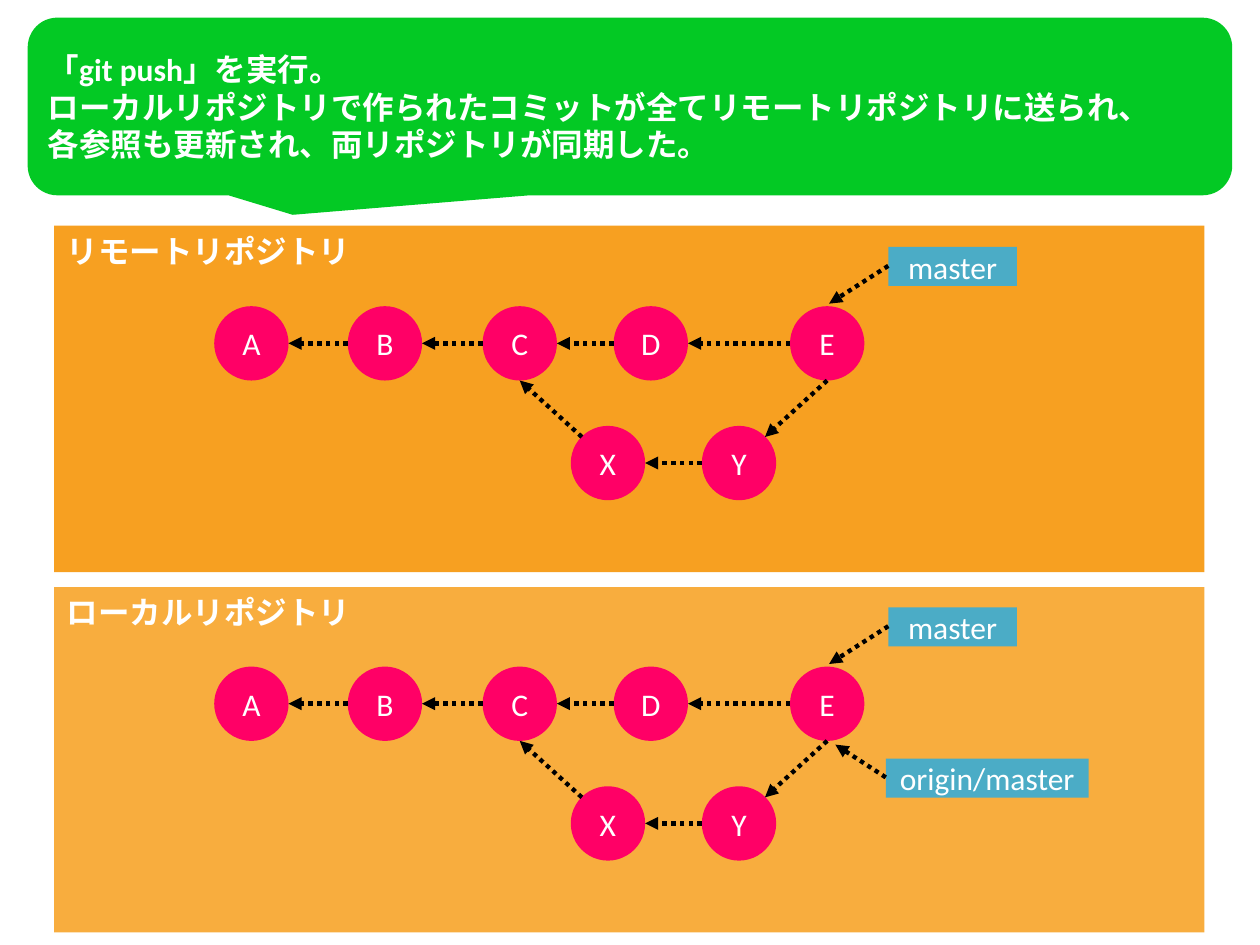
"""Build a slide showing both repositories in sync after a git push."""
from lxml import etree
from pptx import Presentation
from pptx.dml.color import RGBColor
from pptx.enum.dml import MSO_LINE
from pptx.enum.shapes import MSO_CONNECTOR, MSO_SHAPE
from pptx.enum.text import MSO_ANCHOR, PP_ALIGN
from pptx.oxml.ns import qn
from pptx.util import Inches, Pt

RECT, OVAL = MSO_SHAPE.RECTANGLE, MSO_SHAPE.OVAL
CALLOUT = MSO_SHAPE.ROUNDED_RECTANGULAR_CALLOUT
STRAIGHT, DOTTED = MSO_CONNECTOR.STRAIGHT, MSO_LINE.ROUND_DOT
LEFT, CENTER = PP_ALIGN.LEFT, PP_ALIGN.CENTER
TOP, MIDDLE = MSO_ANCHOR.TOP, MSO_ANCHOR.MIDDLE
LATIN, JAPANESE = "Calibri", "Noto Sans CJK JP"
rgb = RGBColor.from_string

prs = Presentation()
prs.slide_width, prs.slide_height = Inches(10), Inches(7.5)
s = prs.slides.add_slide(prs.slide_layouts[6])


def add_box(kind, box, fill, lines, align=CENTER, anchor=MIDDLE, font=LATIN, bold=False):
    """Add a filled shape with white text and return it."""
    sp = s.shapes.add_shape(kind, *map(Inches, box))
    sp.shadow.inherit = False
    sp.fill.solid()
    sp.fill.fore_color.rgb = rgb(fill)
    sp.line.fill.background()
    tf = sp.text_frame
    tf.word_wrap = True
    tf.vertical_anchor = anchor
    for i, line in enumerate(lines):
        p = tf.add_paragraph() if i else tf.paragraphs[0]
        p.alignment = align
        r = p.add_run()
        r.text = line
        for name, value in {"name": font, "size": Pt(18), "bold": bold}.items():
            setattr(r.font, name, value)
        r.font.color.rgb = rgb("FFFFFF")
        etree.SubElement(r.font._element, qn("a:ea"), typeface=JAPANESE)
    return sp


def add_arrow(x1, y1, x2, y2):
    """Add a dotted black arrow pointing at the second point."""
    cxn = s.shapes.add_connector(STRAIGHT, *map(Inches, (x1, y1, x2, y2)))
    cxn.line.color.rgb = rgb("000000")
    cxn.line.width = Pt(2.5)
    cxn.line.dash_style = DOTTED
    etree.SubElement(cxn.line._get_or_add_ln(), qn("a:tailEnd"), type="triangle")
    etree.SubElement(cxn._element.spPr, qn("a:effectLst"))


SIZE, ROW_GAP = 0.59, 0.95
COMMITS = {"A": (1.7, 0), "B": (2.76, 0), "C": (3.83, 0), "D": (4.87, 0),
           "E": (6.27, 0), "X": (4.53, 1), "Y": (5.57, 1)}
SIDES = {"left": (0, 0.5), "right": (1, 0.5), "bottom": (0.5, 1),
         "top left": (0.15, 0.15), "top right": (0.85, 0.15)}
PARENTS = [(child, "left", parent, "right") for child, parent in ("BA", "CB", "DC", "ED", "YX")]
PARENTS += [("X", "top left", "C", "bottom"), ("E", "bottom", "Y", "top right")]

MASTER = ("master", 7.05, -0.47, 1.02, 6.58, -0.02)
ORIGIN = ("origin/master", 7.03, 0.73, 1.61, 6.63, 0.62)
REPOSITORIES = [
    ("リモートリポジトリ", 1.79, 2.75, "F7A021", 2.43, [MASTER]),
    ("ローカルリポジトリ", 4.66, 2.74, "F8AD3E", 5.29, [MASTER, ORIGIN]),
]

for title, top, height, fill, row_top, refs in REPOSITORIES:
    add_box(RECT, (0.43, top, 9.13, height), fill, [title], LEFT, TOP, JAPANESE, True)
    for commit, (x, row) in COMMITS.items():
        add_box(OVAL, (x, row_top + row * ROW_GAP, SIZE, SIZE), "FF0066", [commit])
    for child, start, parent, end in PARENTS:
        points = []
        for commit, side in ((child, start), (parent, end)):
            x, row = COMMITS[commit]
            dx, dy = SIDES[side]
            points += [x + dx * SIZE, row_top + row * ROW_GAP + dy * SIZE]
        add_arrow(*points)
    for ref, x, dy, width, tip_x, tip_dy in refs:
        add_box(RECT, (x, row_top + dy, width, 0.31), "4BACC6", [ref])
        add_arrow(x, row_top + dy + 0.15, tip_x, row_top + tip_dy)

message = ["「git push」を実行。",
           "ローカルリポジトリで作られたコミットが全てリモートリポジトリに送られ、",
           "各参照も更新され、両リポジトリが同期した。"]
callout = add_box(CALLOUT, (0.22, 0.14, 9.56, 1.41), "03C924", message, LEFT, bold=True)
callout.adjustments[0] = -0.28
callout.adjustments[1] = 0.61
callout.text_frame.margin_left = Inches(0.09)

prs.save("out.pptx")
